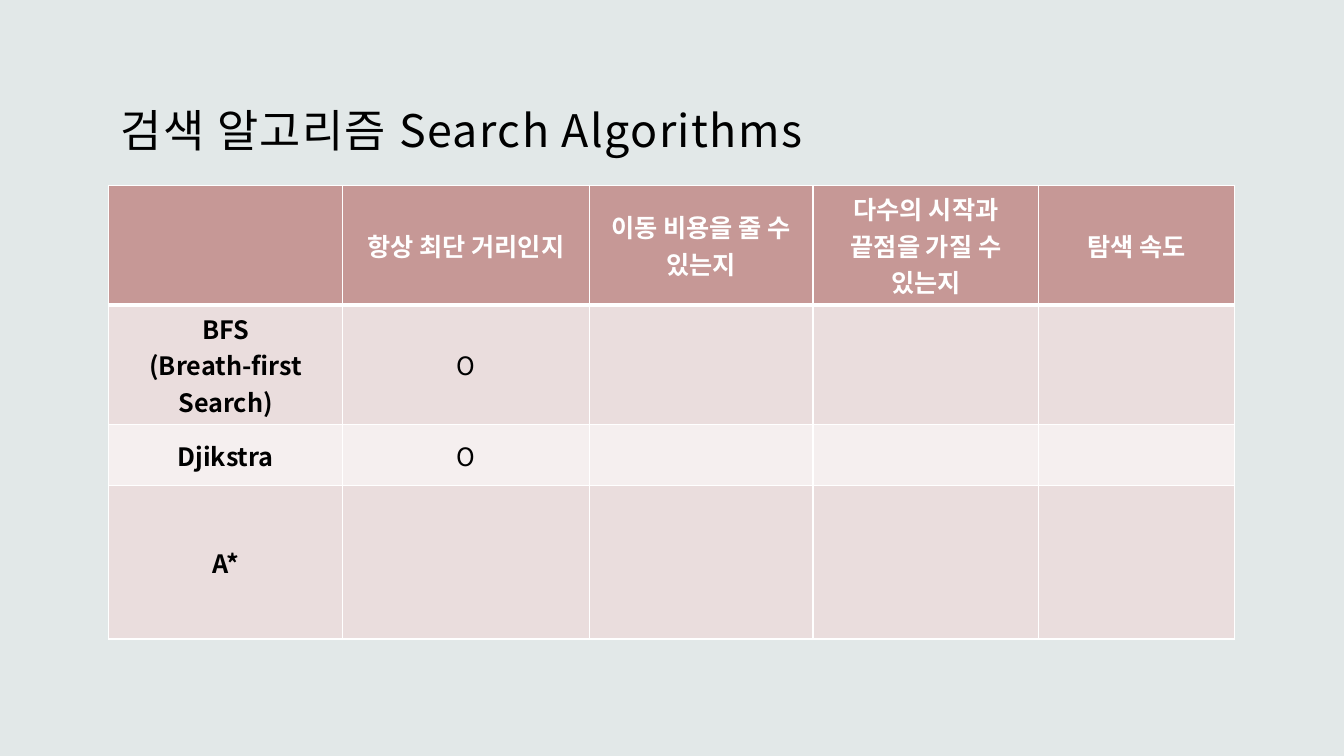
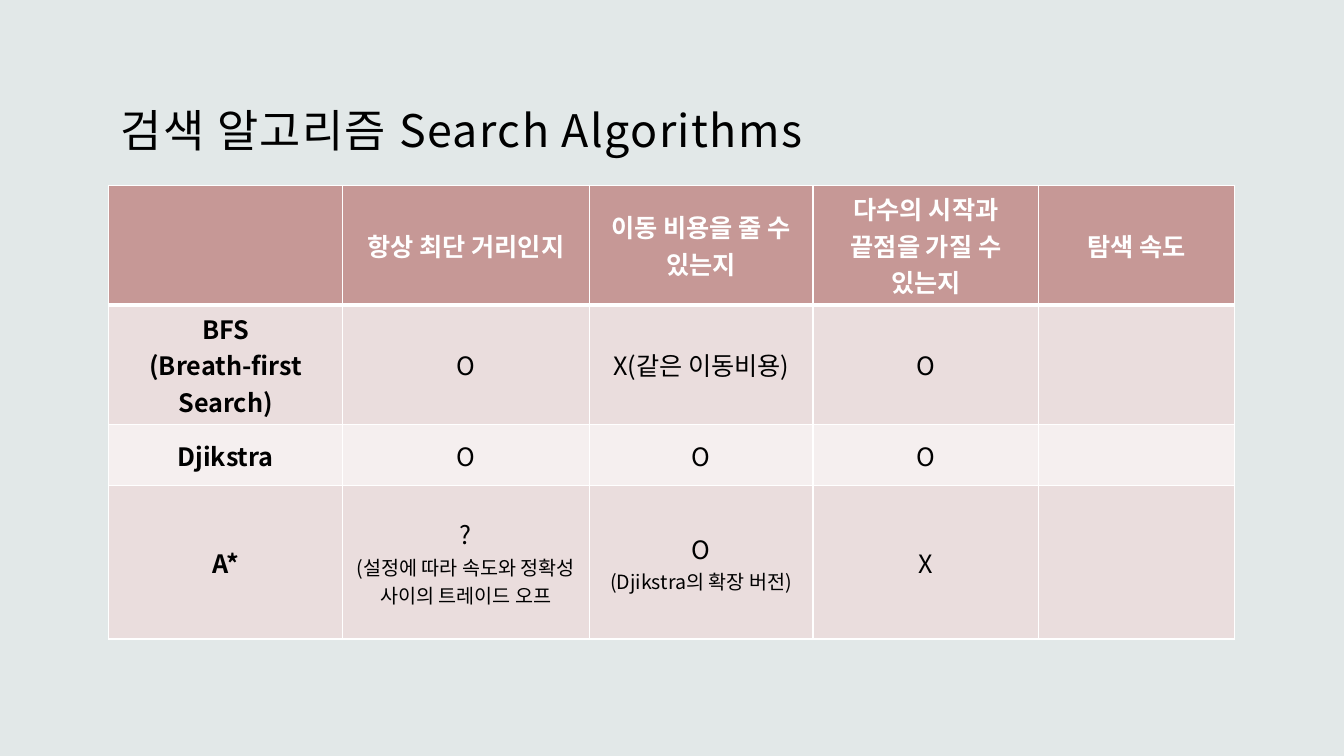
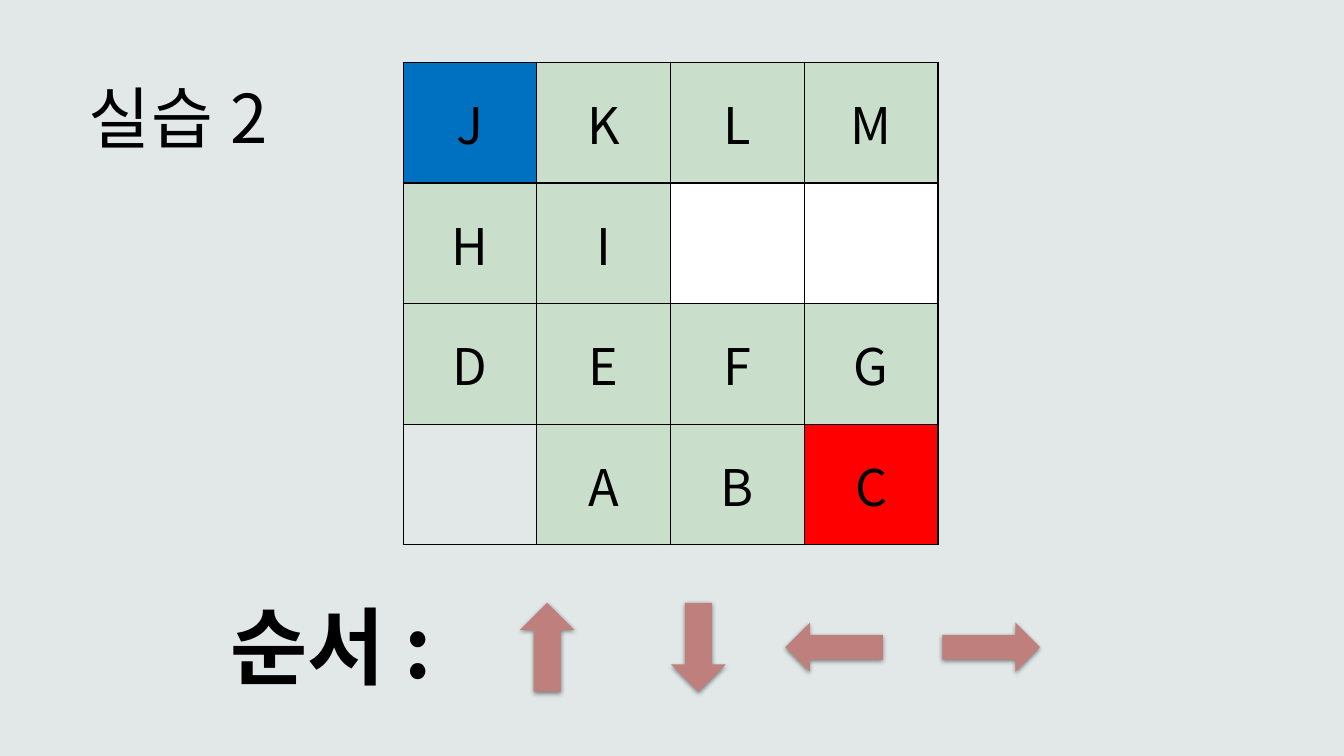
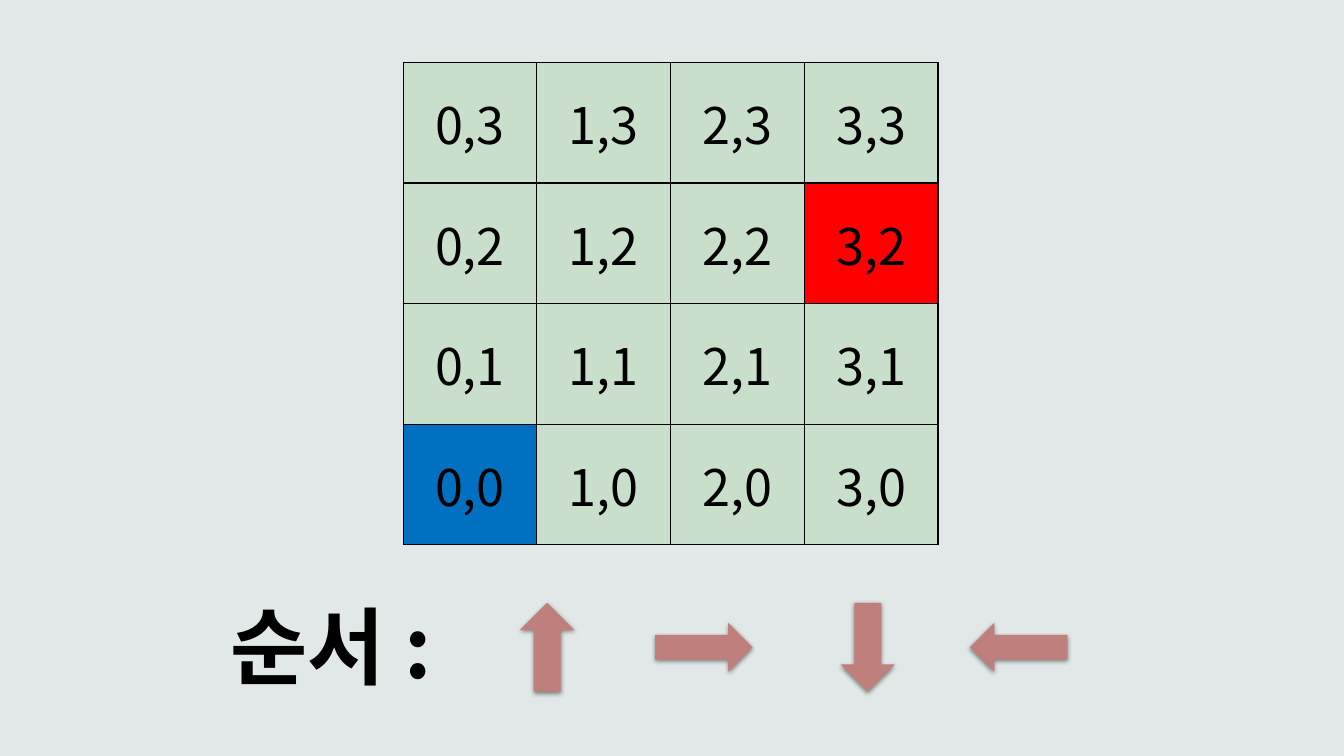
from dataclasses import dataclass
from typing import Any, Sequence

from lxml import etree
from pptx import Presentation
from pptx import util as u
from pptx.dml.color import RGBColor
from pptx.enum import shapes, text
from pptx.oxml import ns

FONT = "Noto Sans CJK KR"
COLOURS = {
    "background": "E2E8E8", "black": "000000", "white": "FFFFFF",
    "header": "C69896", "band": "EADDDD", "light_band": "F5EFEF",
    "open": "C9DFCB", "start": "0070C0", "goal": "FF0000", "arrow": "BF807D",
}
TITLE_ONLY, BLANK = 5, 6
TURNS = {"right": 0, "down": 90, "left": 180, "up": 270}
ARROW_Y = 16.31
ALGORITHM_TITLE = "검색 알고리즘 Search Algorithms"
HEADERS = ("", "항상 최단 거리인지", "이동 비용을 줄 수 있는지",
           "다수의 시작과 끝점을 가질 수 있는지", "탐색 속도")
ALGORITHMS = ("BFS\n(Breath-first Search)", "Djikstra", "A*")


@dataclass
class Box:
    left: float
    top: float
    width: float
    height: float

    def lengths(self) -> list[u.Length]:
        return [u.Cm(v) for v in (self.left, self.top, self.width, self.height)]


@dataclass
class Cell:
    text: str = ""
    fill: str = ""
    size: int = 18
    bold: bool = False
    colour: str = "black"
    note: str = ""
    bottom: int = 1


@dataclass
class Arrow:
    turn: str
    centre: float


def rgb(name: str) -> RGBColor:
    return RGBColor.from_string(COLOURS[name])


def apply(target: Any, values: dict[str, Any]) -> None:
    for name, value in values.items():
        setattr(target, name, value)


def add_run(p: Any, words: str, size: int, bold: bool = False,
            colour: str = "black", spacing: int = 0) -> None:
    r = p.add_run()
    r.text = words
    apply(r.font, {"name": FONT, "size": u.Pt(size), "bold": bold})
    r.font.color.rgb = rgb(colour)
    rpr = r.font._element
    etree.SubElement(rpr, ns.qn("a:ea"), typeface=FONT)
    if spacing:
        rpr.set("spc", str(spacing))


def set_title(s: Any, words: str, box: Box, size: int, anchor: Any, align: Any) -> None:
    sp = s.shapes.title
    apply(sp, dict(zip(("left", "top", "width", "height"), box.lengths())))
    tf = sp.text_frame
    apply(tf, {"word_wrap": True, "auto_size": text.MSO_AUTO_SIZE.NONE,
               "vertical_anchor": anchor, "margin_left": u.Cm(0.3),
               "margin_right": u.Cm(0.3), "margin_top": u.Cm(0.3),
               "margin_bottom": u.Cm(0.25)})
    p = tf.paragraphs[0]
    p.alignment = align
    add_run(p, words, size, spacing=100)


def set_borders(cell: Any, colour: str, bottom: int) -> None:
    tcpr = cell._tc.get_or_add_tcPr()
    for i, (side, width) in enumerate(zip("LRTB", (1, 1, 1, bottom))):
        ln = etree.Element(ns.qn(f"a:ln{side}"), w=str(u.Pt(width)))
        fill = etree.SubElement(ln, ns.qn("a:solidFill"))
        etree.SubElement(fill, ns.qn("a:srgbClr"), val=COLOURS[colour])
        tcpr.insert(i, ln)


def fill_cell(cell: Any, content: Cell, border: str) -> None:
    if content.fill:
        cell.fill.solid()
        cell.fill.fore_color.rgb = rgb(content.fill)
    else:
        cell.fill.background()
    set_borders(cell, border, content.bottom)
    cell.vertical_anchor = text.MSO_ANCHOR.MIDDLE
    lines = [(t, content.size) for t in content.text.split("\n") if t]
    if content.note:
        lines.append((content.note, 14))
    tf = cell.text_frame
    for i, (words, size) in enumerate(lines):
        p = tf.add_paragraph() if i else tf.paragraphs[0]
        p.alignment = text.PP_ALIGN.CENTER
        add_run(p, words, size, content.bold, content.colour)


def add_table(s: Any, left: float, top: float, widths: Sequence[float],
              heights: Sequence[float], rows: list[list[Cell]], border: str) -> None:
    box = Box(left, top, sum(widths), sum(heights))
    table = s.shapes.add_table(len(heights), len(widths), *box.lengths()).table
    apply(table, {"first_row": False, "horz_banding": False})
    for column, width in zip(table.columns, widths):
        column.width = u.Cm(width)
    for row, height, contents in zip(table.rows, heights, rows):
        row.height = u.Cm(height)
        for cell, content in zip(row.cells, contents):
            fill_cell(cell, content, border)


def add_algorithm_slide(prs: Any, answers: Sequence[Sequence[Cell]]) -> None:
    s = prs.slides.add_slide(prs.slide_layouts[TITLE_ONLY])
    set_title(s, ALGORITHM_TITLE, Box(2.74, 1.09, 28.37, 3.1), 32,
              text.MSO_ANCHOR.BOTTOM, text.PP_ALIGN.LEFT)
    rows = [[Cell(t, "header", bold=True, colour="white", bottom=3) for t in HEADERS]]
    for i, (name, known) in enumerate(zip(ALGORITHMS, answers)):
        band = "light_band" if i % 2 else "band"
        row = [Cell(name, bold=True), *known]
        row += [Cell() for _ in range(len(HEADERS) - len(row))]
        for content in row:
            content.fill = band
        rows.append(row)
    add_table(s, 2.74, 4.67, (5.89, 6.22, 5.64, 5.69, 4.93),
              (1.93, 2.72, 1.55, 3.86), rows, "white")


def add_grid(s: Any, labels: Sequence[Sequence[str]], fills: dict[str, str]) -> None:
    rows = [[Cell(t, fills.get(t, "open"), 36) for t in row] for row in labels]
    for content in rows[-1]:
        if not content.text:
            content.fill = ""
    add_table(s, 10.16, 1.57, [3.37] * 4, [3.04] * 4, rows, "black")


def add_shadow(sp: Any) -> None:
    effects = etree.SubElement(sp._element.spPr, ns.qn("a:effectLst"))
    shadow = etree.SubElement(effects, ns.qn("a:outerShdw"), blurRad=str(u.Pt(3.5)),
                              dist=str(u.Pt(1.1)), dir="5400000", rotWithShape="0")
    colour = etree.SubElement(shadow, ns.qn("a:srgbClr"), val=COLOURS["black"])
    etree.SubElement(colour, ns.qn("a:alpha"), val="45000")


def add_order(s: Any, arrows: Sequence[Arrow]) -> None:
    group = s.shapes.add_group_shape()
    for arrow in arrows:
        width, height = (2.24, 1.37) if arrow.turn in ("up", "down") else (2.46, 1.24)
        box = Box(arrow.centre - width / 2, ARROW_Y - height / 2, width, height)
        sp = group.shapes.add_shape(shapes.MSO_SHAPE.RIGHT_ARROW, *box.lengths())
        sp.rotation = TURNS[arrow.turn]
        sp.fill.solid()
        sp.fill.fore_color.rgb = rgb("arrow")
        sp.line.fill.background()
        add_shadow(sp)
    tf = s.shapes.add_textbox(*Box(5.56, 14.86, 6.43, 2.82).lengths()).text_frame
    apply(tf, {"word_wrap": True, "auto_size": text.MSO_AUTO_SIZE.SHAPE_TO_FIT_TEXT})
    add_run(tf.paragraphs[0], "순서 :", 60, bold=True)


def main() -> None:
    prs = Presentation()
    apply(prs, {"slide_width": u.Cm(33.87), "slide_height": u.Cm(19.05)})
    fill = prs.slide_master.background.fill
    fill.solid()
    fill.fore_color.rgb = rgb("background")

    add_algorithm_slide(prs, ([Cell("O")], [Cell("O")], []))
    add_algorithm_slide(prs, (
        [Cell("O"), Cell("X(같은 이동비용)"), Cell("O")],
        [Cell("O"), Cell("O"), Cell("O")],
        [Cell("?", note="(설정에 따라 속도와 정확성 사이의 트레이드 오프"),
         Cell("O", note="(Djikstra의 확장 버전)"), Cell("X")],
    ))

    s = prs.slides.add_slide(prs.slide_layouts[TITLE_ONLY])
    add_grid(s, ("JKLM", ("H", "I", "", ""), "DEFG", ("", "A", "B", "C")),
             {"J": "start", "C": "goal", "": "white"})
    add_order(s, (Arrow("up", 13.79), Arrow("down", 17.6),
                  Arrow("left", 21.02), Arrow("right", 24.98)))
    set_title(s, "실습 2", Box(0.58, 0.58, 7.82, 4.67), 48,
              text.MSO_ANCHOR.MIDDLE, text.PP_ALIGN.CENTER)

    s = prs.slides.add_slide(prs.slide_layouts[BLANK])
    add_grid(s, [[f"{x},{y}" for x in range(4)] for y in reversed(range(4))],
             {"0,0": "start", "3,2": "goal"})
    add_order(s, (Arrow("up", 13.79), Arrow("right", 17.74),
                  Arrow("down", 21.87), Arrow("left", 25.67)))

    prs.save("out.pptx")


if __name__ == "__main__":
    main()
